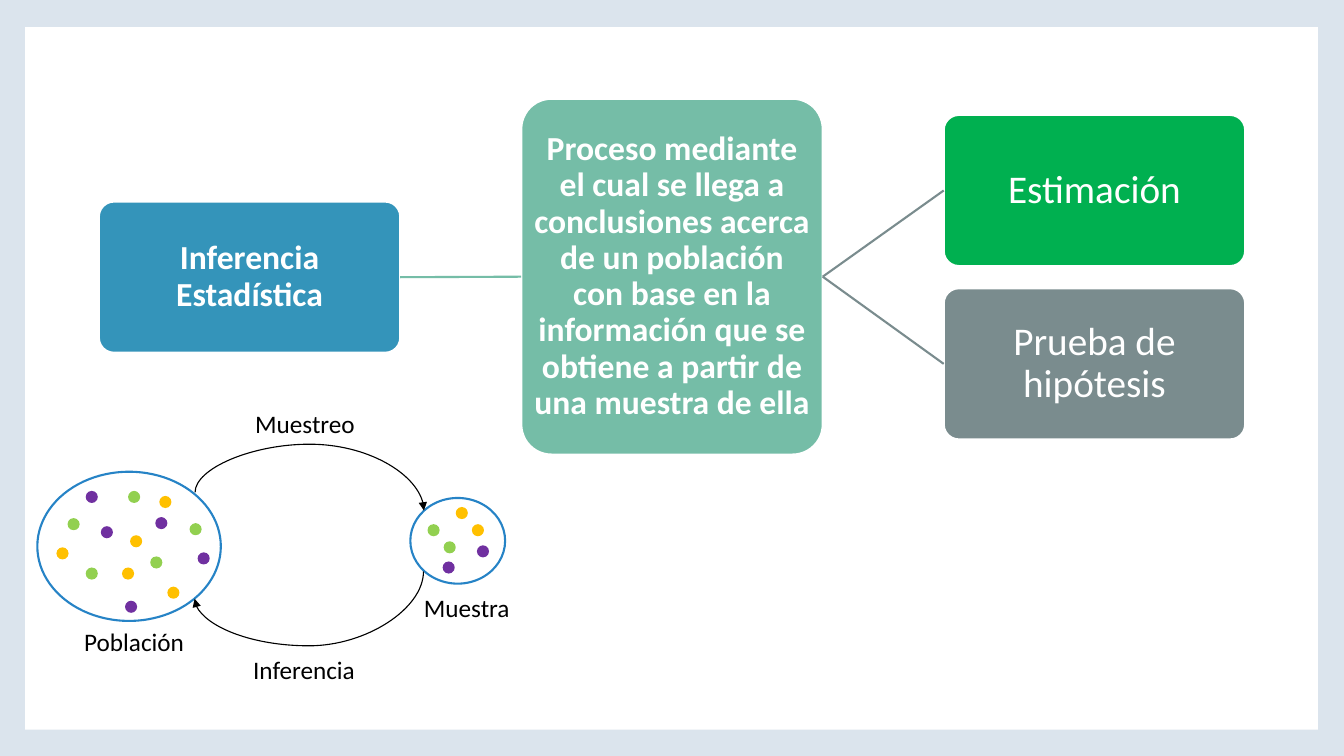
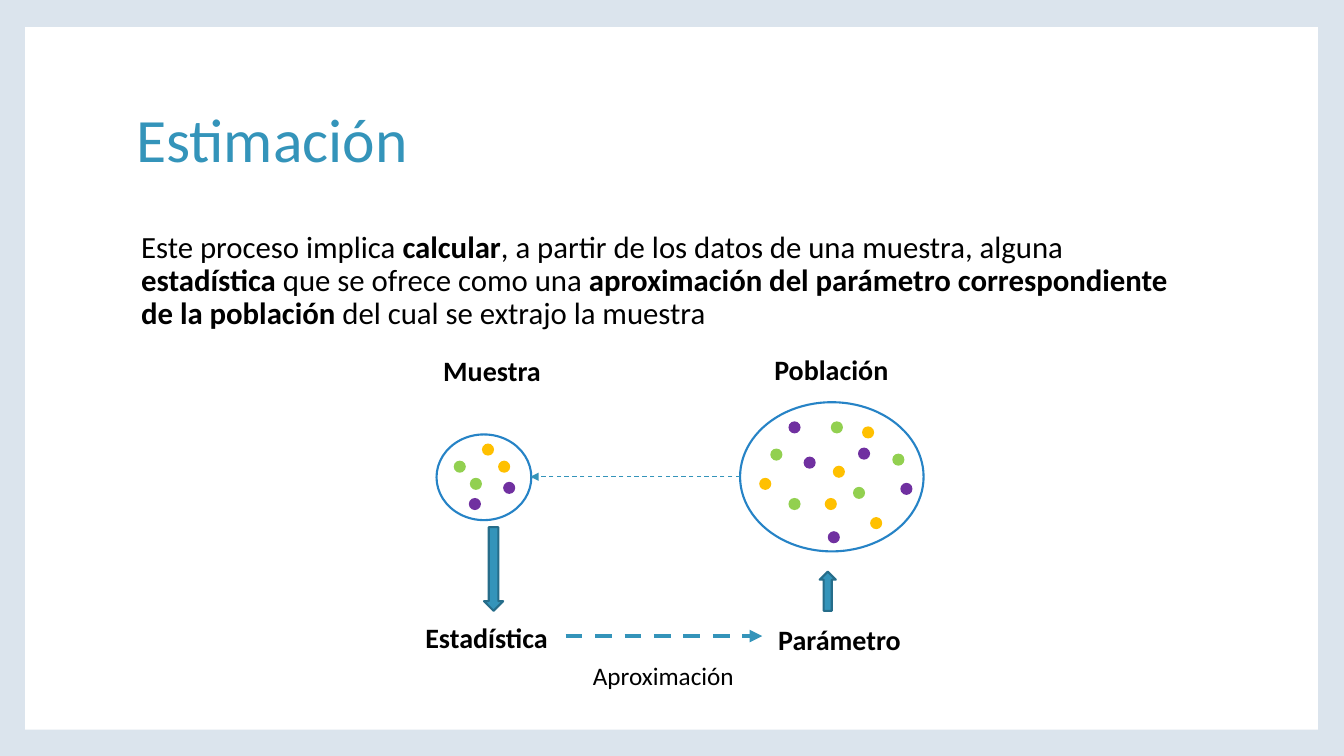
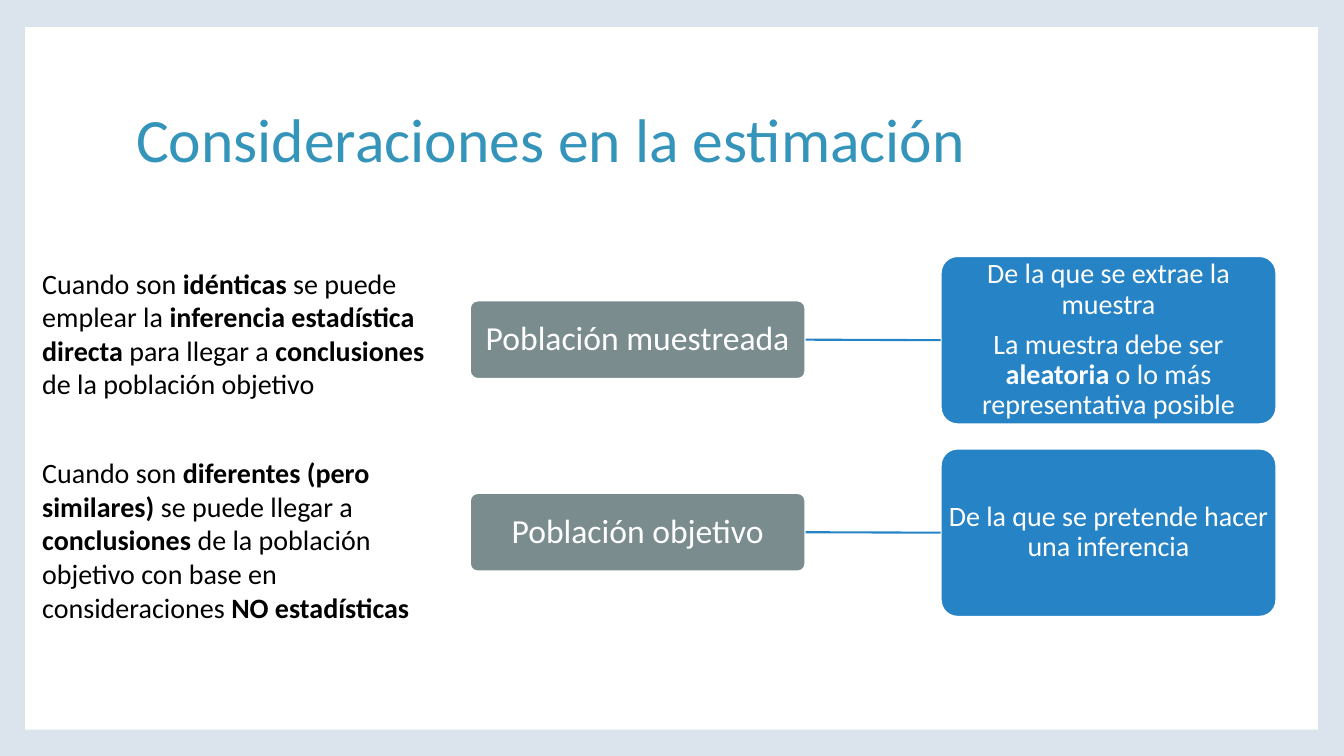
import pptx
import pptx.util
import pptx.dml.color
import pptx.enum.dml
import pptx.enum.shapes
import pptx.enum.text
import pptx.oxml.ns
import pptx.oxml.xmlchemy

Inches, Pt = pptx.util.Inches, pptx.util.Pt
SHAPE = pptx.enum.shapes.MSO_SHAPE
CONNECTOR = pptx.enum.shapes.MSO_CONNECTOR
ALIGN = pptx.enum.text.PP_ALIGN
ANCHOR = pptx.enum.text.MSO_ANCHOR
DASH = pptx.enum.dml.MSO_LINE.DASH
qn = pptx.oxml.ns.qn
element = pptx.oxml.xmlchemy.OxmlElement

# Shared look
FONT = "Calibri"
BACKGROUND, WHITE, BLACK = "DBE4ED", "FFFFFF", "000000"
TEAL, MINT, GREY, BLUE, GREEN = "3494BA", "75BDA7", "7A8C8E", "2683C6", "00B050"
ARROW_EDGE = "266D8A"
YELLOW, PURPLE, LIME = "FFC000", "7030A0", "92D050"
TITLE_AT = (1.25, 0.67, 10.8, 1.48)
BODY_AT = (1.25, 2.25, 10.8, 4.42)

# Dot offsets inside each set, by colour
POPULATION = ((1.82, 1.48), {
    YELLOW: [(0.19, 0.75), (0.92, 0.63), (1.21, 0.24), (1.29, 1.14), (0.84, 0.95)],
    PURPLE: [(0.63, 0.54), (1.17, 0.45), (1.59, 0.8), (0.87, 1.28), (0.48, 0.19)],
    LIME: [(0.3, 0.46), (0.9, 0.19), (0.48, 0.95), (1.12, 0.84), (1.51, 0.51)],
})
SAMPLE = ((0.94, 0.85), {
    YELLOW: [(0.45, 0.09), (0.61, 0.26)],
    PURPLE: [(0.66, 0.47), (0.32, 0.63)],
    LIME: [(0.17, 0.26), (0.33, 0.43)],
})


def rgb(color):
    return pptx.dml.color.RGBColor.from_string(color)


def apply(obj, values):
    for name, value in values.items():
        setattr(obj, name, value)


def lengths(at):
    return [Inches(v) for v in at]


def write(sp, texts, size, color=BLACK, bold=False, align=ALIGN.LEFT,
          anchor=ANCHOR.TOP, spacing=1.0, gap=0, inset=None):
    """Fill a shape with paragraphs; ** switches bold."""
    tf = sp.text_frame
    apply(tf, {"word_wrap": True, "vertical_anchor": anchor,
               "auto_size": pptx.enum.text.MSO_AUTO_SIZE.NONE})
    if inset is not None:
        apply(tf, {f"margin_{side}": Inches(inset)
                   for side in ("left", "top", "right", "bottom")})
    for i, text in enumerate(texts):
        p = tf.add_paragraph() if i else tf.paragraphs[0]
        apply(p, {"alignment": align, "line_spacing": spacing,
                  "space_before": Pt(gap if i else 0)})
        for j, part in enumerate(text.split("**")):
            if part:
                r = p.add_run()
                r.text = part
                apply(r.font, {"name": FONT, "size": Pt(size),
                               "bold": bold or j % 2 == 1})
                r.font.color.rgb = rgb(color)


def shape(s, kind, at, fill, line=None):
    sp = s.shapes.add_shape(kind, *lengths(at))
    sp.shadow.inherit = False
    sp.fill.solid()
    sp.fill.fore_color.rgb = rgb(fill)
    if line:
        sp.line.color.rgb = rgb(line)
        sp.line.width = Pt(1.5)
    else:
        sp.line.fill.background()
    return sp


def node(s, at, fill, texts, size, bold=False):
    sp = shape(s, SHAPE.ROUNDED_RECTANGLE, at, fill, WHITE)
    sp.adjustments[0] = 0.1
    write(sp, texts, size, WHITE, bold, ALIGN.CENTER, ANCHOR.MIDDLE,
          spacing=0.9, gap=7, inset=0.02)
    return sp


def label(s, at, text, size=18, bold=False):
    sp = shape(s, SHAPE.RECTANGLE, at, WHITE)
    write(sp, [text], size, bold=bold, align=ALIGN.CENTER, anchor=ANCHOR.MIDDLE)


def textbox(s, at, text, size=20, **style):
    write(s.shapes.add_textbox(*lengths(at)), [text], size, **style)


def dot_set(s, left, top, content):
    (width, height), dots = content
    shape(s, SHAPE.OVAL, (left, top, width, height), WHITE, BLUE)
    for color, offsets in dots.items():
        for dx, dy in offsets:
            shape(s, SHAPE.OVAL, (left + dx, top + dy, 0.12, 0.12), color)


def connector(s, ends, color, width, kind=CONNECTOR.STRAIGHT, dash=None, arrow=True):
    c = s.shapes.add_connector(kind, *lengths(ends))
    c.line.color.rgb = rgb(color)
    apply(c.line, {"width": Pt(width), "dash_style": dash})
    spPr = c._element.spPr
    if arrow:
        tail = element("a:tailEnd")
        tail.set("type", "triangle")
        spPr.find(qn("a:ln")).append(tail)
    spPr.append(element("a:effectLst"))
    return c


def link(s, start, end, color):
    """Join the right side of one node to the left side of another."""
    c = connector(s, (0, 0, 1, 1), color, 1.5, arrow=False)
    c.begin_connect(start, 3)
    c.end_connect(end, 1)


def arc(s, ends, rotation, bend):
    """Curved arrow turned by rotation, with its bend as a share of the width."""
    c = connector(s, ends, BLACK, 0.79, CONNECTOR.CURVE)
    spPr = c._element.spPr
    spPr.find(qn("a:xfrm")).set("rot", str(rotation * 60000))
    geom = spPr.find(qn("a:prstGeom"))
    guides = geom.find(qn("a:avLst"))
    if guides is None:
        guides = element("a:avLst")
        geom.append(guides)
    gd = element("a:gd")
    gd.set("name", "adj1")
    gd.set("fmla", f"val {round(bend * 100000)}")
    guides.append(gd)


def placeholder(sp, at, text, size, **style):
    apply(sp, dict(zip(("left", "top", "width", "height"), lengths(at))))
    write(sp, [text], size, spacing=0.9, **style)


def titled_slide(prs, layout, title):
    s = prs.slides.add_slide(prs.slide_layouts[layout])
    placeholder(s.shapes.title, TITLE_AT, title, 44, color=TEAL, anchor=ANCHOR.MIDDLE)
    return s


def set_master(prs, s):
    """Background and white panel for every slide."""
    master = prs.slide_master
    master.background.fill.solid()
    master.background.fill.fore_color.rgb = rgb(BACKGROUND)
    panel = shape(s, SHAPE.RECTANGLE, (0.25, 0.27, 12.82, 6.97), WHITE)
    master.shapes._spTree.insert(2, panel._element)


def inference_slide(s):
    # Concept map
    topic = node(s, (0.98, 2, 2.99, 1.5), TEAL, ["Inferencia Estadística"], 24, True)
    process = node(s, (5.17, 0.98, 2.99, 3.53), MINT, [
        "Proceso mediante el cual se llega a conclusiones acerca de un población con "
        "base en la información que se obtiene a partir de una muestra de ella"], 24, True)
    link(s, topic, process, MINT)
    branches = [("Estimación", GREEN), ("Prueba de hipótesis", GREY)]
    for i, (text, fill) in enumerate(branches):
        branch = node(s, (9.36, 1.14 + 1.72 * i, 2.99, 1.5), fill, [text], 28)
        link(s, process, branch, GREY)

    # Sampling cycle
    label(s, (1.97, 6.46, 2.09, 0.36), "Inferencia")
    label(s, (4.05, 5.85, 1.16, 0.35), "Muestra")
    label(s, (2.3, 4.04, 1.45, 0.32), "Muestreo")
    label(s, (0.54, 6.28, 1.58, 0.17), "Población")
    dot_set(s, 0.37, 4.68, POPULATION)
    dot_set(s, 4.07, 4.94, SAMPLE)
    arc(s, (3.16, 3.84, 2.98, 6.11), 270, -2.66)
    arc(s, (2.93, 4.67, 3.2, 6.94), 90, 2.73)


def estimation_slide(prs):
    s = titled_slide(prs, 1, "Estimación")
    body = s.placeholders[1]
    placeholder(body, BODY_AT,
                "Este proceso implica **calcular**, a partir de los datos de una muestra, "
                "alguna **estadística **que se ofrece como una **aproximación del parámetro "
                "correspondiente de la población **del cual se extrajo la muestra", 22)
    pPr = body.text_frame.paragraphs[0]._p.get_or_add_pPr()
    pPr.set("marL", str(Inches(0.05)))
    pPr.set("indent", "0")
    pPr.append(element("a:buNone"))

    # Sample and population
    label(s, (4.23, 3.49, 1.3, 0.36), "Muestra", 20, True)
    label(s, (7.52, 3.49, 1.45, 0.34), "Población", 20, True)
    dot_set(s, 4.33, 4.31, SAMPLE)
    dot_set(s, 7.34, 3.99, POPULATION)
    connector(s, (7.34, 4.73, 5.26, 4.73), TEAL, 0.79, dash=DASH)

    # Statistic and parameter
    shape(s, SHAPE.DOWN_ARROW, (4.8, 5.23, 0.19, 0.83), TEAL, ARROW_EDGE)
    shape(s, SHAPE.UP_ARROW, (8.13, 5.67, 0.16, 0.39), TEAL, ARROW_EDGE)
    textbox(s, (4.12, 6.11, 1.47, 0.74), "Estadística", bold=True)
    textbox(s, (7.62, 6.13, 1.55, 0.44), "Parámetro", bold=True)
    connector(s, (5.61, 6.31, 7.56, 6.31), TEAL, 3, dash=DASH)
    textbox(s, (5.6, 6.5, 1.96, 0.4), "Aproximación", 18, align=ALIGN.CENTER)


def considerations_slide(prs):
    s = titled_slide(prs, 5, "Consideraciones en la estimación")
    rows = [
        ("Población muestreada",
         ["De la que se extrae la muestra",
          "La muestra debe ser **aleatoria** o lo más representativa posible"]),
        ("Población objetivo", ["De la que se pretende hacer una inferencia"]),
    ]
    for i, (name, meaning) in enumerate(rows):
        top = 2.54 + 1.91 * i
        population = node(s, (4.66, top + 0.44, 3.33, 0.78), GREY, [name], 24)
        detail = node(s, (9.33, top, 3.33, 1.67), BLUE, meaning, 20)
        link(s, population, detail, BLUE)

    # Cases
    textbox(s, (0.32, 2.59, 4.05, 1.45),
            "Cuando son **idénticas **se puede emplear la **inferencia estadística "
            "directa **para llegar a **conclusiones** de la población objetivo")
    textbox(s, (0.32, 4.47, 4.05, 1.78),
            "Cuando son **diferentes (pero similares)** se puede llegar a **conclusiones** "
            "de la población objetivo con base en consideraciones **NO estadísticas**")


def main():
    prs = pptx.Presentation()
    apply(prs, {"slide_width": Inches(13.33), "slide_height": Inches(7.5)})
    first = prs.slides.add_slide(prs.slide_layouts[6])
    set_master(prs, first)
    inference_slide(first)
    estimation_slide(prs)
    considerations_slide(prs)
    prs.save("out.pptx")


if __name__ == "__main__":
    main()
